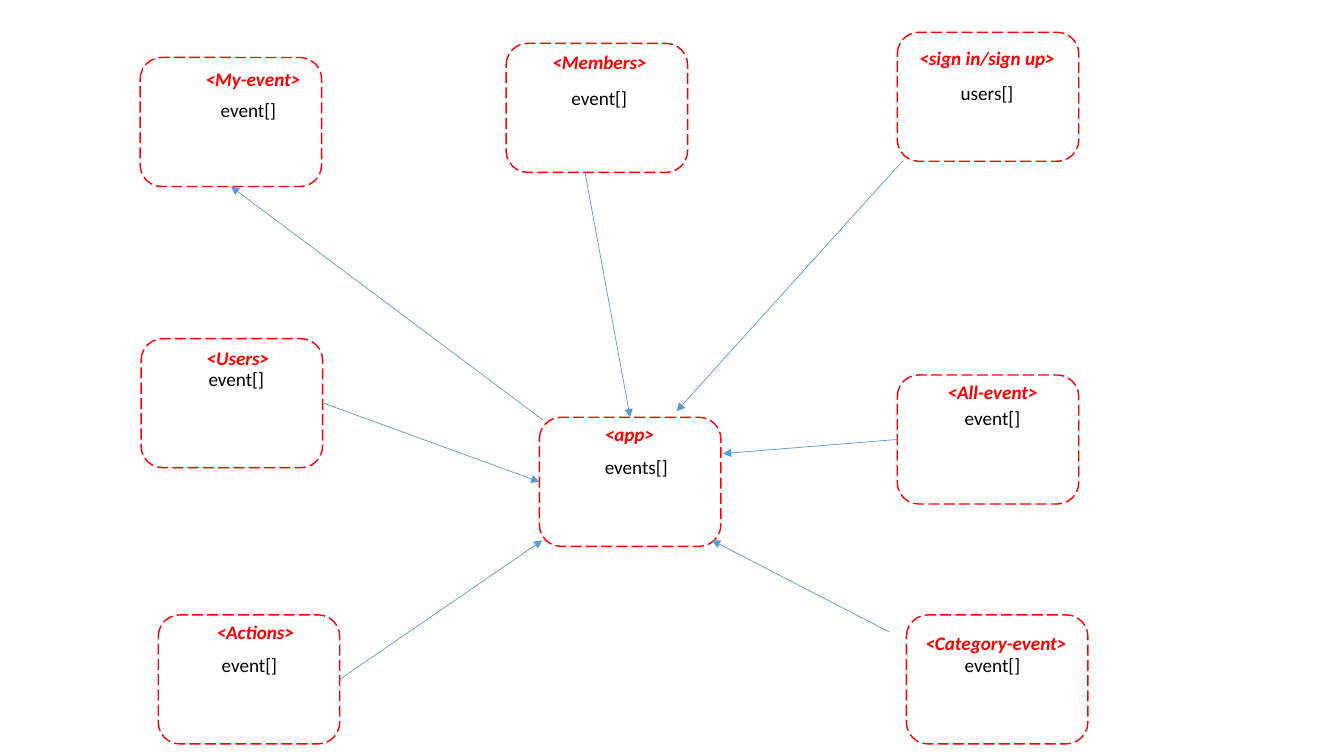
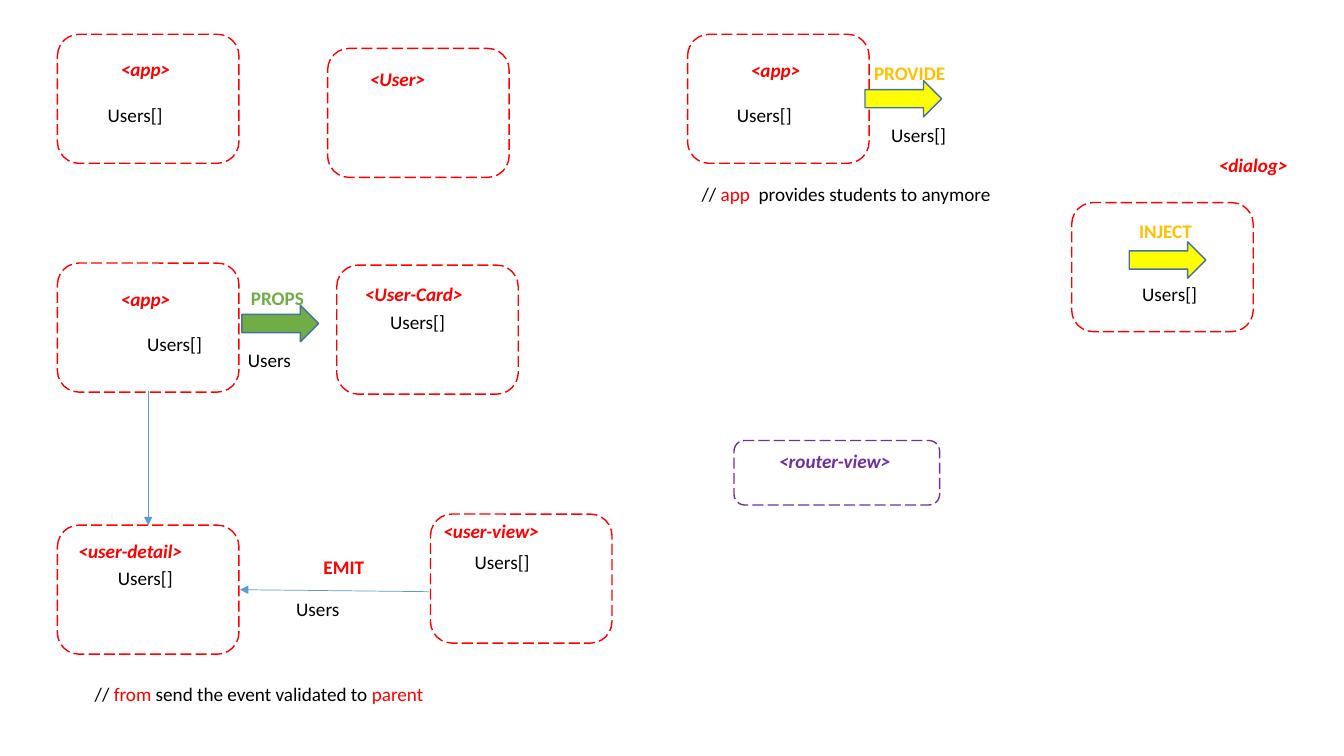
from lxml import etree
from pptx import Presentation
from pptx.dml.color import RGBColor
from pptx.enum.dml import MSO_LINE
from pptx.enum.shapes import MSO_CONNECTOR, MSO_SHAPE
from pptx.enum.text import MSO_AUTO_SIZE
from pptx.oxml.ns import qn
from pptx.util import Inches, Pt

ROUND_BOX, BLOCK_ARROW = MSO_SHAPE.ROUNDED_RECTANGLE, MSO_SHAPE.RIGHT_ARROW
STRAIGHT, LONG_DASH = MSO_CONNECTOR.STRAIGHT, MSO_LINE.LONG_DASH
FIT_SHAPE = MSO_AUTO_SIZE.SHAPE_TO_FIT_TEXT

COLORS = {
    "red": "FF0000", "black": "000000", "purple": "7030A0", "green": "70AD47",
    "amber": "FFC000", "yellow": "FFFF00", "blue": "5B9BD5", "edge": "43739E",
}
# Text styles: colour plus font attributes
STYLES = {
    "tag": ("red", {"bold": True, "italic": True}),
    "route": ("purple", {"bold": True, "italic": True}),
    "props": ("green", {"bold": True}),
    "provide": ("amber", {"bold": True}),
    "emit": ("red", {"bold": True}),
    "data": ("black", {}),
    "accent": ("red", {}),
}
BOX_W, BOX_H = 1.8, 1.28
ARROW_W, ARROW_H = 0.76, 0.36
LABEL_H = 0.33


def rgb(name):
    return RGBColor.from_string(COLORS[name])


def add_preset(slide, preset, left, top, width, height, line, fill=None):
    shape = slide.shapes.add_shape(
        preset, Inches(left), Inches(top), Inches(width), Inches(height))
    shape.shadow.inherit = False
    if fill:
        shape.fill.solid()
        shape.fill.fore_color.rgb = rgb(fill)
    else:
        shape.fill.background()
    shape.line.color.rgb = rgb(line)
    shape.line.width = Pt(1)
    return shape


# Event app: every component talks to the central app
event_app = {
    "boxes": [
        (1.39, 0.57), (5.02, 0.43), (8.9, 0.32), (1.4, 3.36),
        (5.35, 4.14), (8.9, 3.72), (1.57, 6.1), (8.99, 6.1),
    ],
    "block_arrows": [],
    "labels": [
        (1.94, 0.62, 1.16, "tag", "<My-event>"),
        (2.09, 0.93, 0.76, "data", "event[]"),
        (5.38, 0.45, 1.15, "tag", "<Members>"),
        (5.57, 0.81, 0.76, "data", "event[]"),
        (9.02, 0.41, 1.57, "tag", "<sign in/sign up>"),
        (9.43, 0.76, 0.73, "data", "users[]"),
        (1.95, 3.39, 0.83, "tag", "<Users>"),
        (1.97, 3.6, 0.76, "data", "event[]"),
        (5.9, 4.14, 0.7, "tag", "<app>"),
        (5.9, 4.47, 0.84, "data", "events[]"),
        (9.3, 3.72, 1.11, "tag", "<All-event>"),
        (9.47, 3.98, 0.76, "data", "event[]"),
        (2.05, 6.11, 0.98, "tag", "<Actions>"),
        (2.1, 6.43, 0.76, "data", "event[]"),
        (9.08, 6.21, 1.63, "tag", "<Category-event>"),
        (9.47, 6.43, 0.76, "data", "event[]"),
    ],
    "notes": [],
    "links": [
        (5.39, 4.17, 2.29, 1.85), (5.8, 1.7, 6.25, 4.14),
        (8.95, 1.6, 6.71, 4.08), (3.21, 4, 5.35, 4.78),
        (8.9, 4.36, 7.17, 4.5), (3.37, 6.74, 5.38, 5.36),
        (8.82, 6.27, 7.06, 5.36),
    ],
}

# Data flow: props and emit on the left, provide and inject on the right
data_flow = {
    "boxes": [
        (0.57, 0.34), (3.25, 0.48), (0.57, 2.61), (3.34, 2.63),
        (0.57, 5.21), (4.27, 5.1), (6.82, 0.34), (10.63, 2.01),
        (7.28, 4.37, 2.04, 0.64, "purple"),
    ],
    "block_arrows": [
        (2.4, 3.03, "green"), (8.58, 0.8, "yellow"), (11.2, 2.4, "yellow"),
    ],
    "labels": [
        (1.1, 0.52, 0.7, "tag", "<app>"),
        (0.97, 0.98, 0.75, "data", "Users[]"),
        (3.57, 0.62, 0.76, "tag", "<User>"),
        (1.1, 2.8, 0.7, "tag", "<app>"),
        (1.36, 3.25, 0.75, "data", "Users[]"),
        (2.39, 2.79, 0.73, "props", "PROPS"),
        (2.36, 3.41, 0.64, "data", "Users"),
        (3.52, 2.75, 1.19, "tag", "<User-Card>"),
        (3.77, 3.03, 0.75, "data", "Users[]"),
        (0.68, 5.3, 1.25, "tag", "<user-detail>"),
        (1.07, 5.57, 0.75, "data", "Users[]"),
        (3.11, 5.46, 0.61, "emit", "EMIT"),
        (2.84, 5.88, 0.64, "data", "Users"),
        (4.3, 5.1, 1.17, "tag", "<user-view>"),
        (4.61, 5.41, 0.75, "data", "Users[]"),
        (7.35, 0.53, 0.7, "tag", "<app>"),
        (7.21, 0.98, 0.75, "data", "Users[]"),
        (8.57, 0.56, 0.92, "provide", "PROVIDE"),
        (8.74, 1.17, 0.75, "data", "Users[]"),
        (11.99, 1.47, 0.9, "tag", "<dialog>"),
        (11.2, 2.13, 0.73, "provide", "INJECT"),
        (11.23, 2.75, 0.75, "data", "Users[]"),
        (7.63, 4.41, 1.33, "route", "<router-view>"),
    ],
    "notes": [
        (0.84, 6.72, 3.52, [
            ("data", "// "), ("accent", "from"),
            ("data", " send the event validated to "), ("accent", "parent")]),
        (6.86, 1.76, 3.13, [
            ("data", "// "), ("accent", "app"),
            ("data", "  provides students to anymore")]),
    ],
    "links": [(1.47, 3.88, 1.47, 5.21), (4.25, 5.87, 2.38, 5.85)],
}

prs = Presentation()
prs.slide_width, prs.slide_height = Inches(13.33), Inches(7.5)

for diagram in (event_app, data_flow):
    slide = prs.slides.add_slide(prs.slide_layouts[6])

    # Dashed component boxes
    for left, top, *custom in diagram["boxes"]:
        width, height, line = custom or (BOX_W, BOX_H, "red")
        component = add_preset(slide, ROUND_BOX, left, top, width, height, line)
        component.line.dash_style = LONG_DASH

    # Block arrows
    for left, top, fill in diagram["block_arrows"]:
        add_preset(slide, BLOCK_ARROW, left, top, ARROW_W, ARROW_H, "edge", fill)

    # Labels and mixed-colour notes
    texts = [(left, top, width, [(style, text)])
             for left, top, width, style, text in diagram["labels"]]
    for left, top, width, runs in texts + diagram["notes"]:
        label = slide.shapes.add_textbox(
            Inches(left), Inches(top), Inches(width), Inches(LABEL_H))
        frame = label.text_frame
        frame.word_wrap = False
        frame.auto_size = FIT_SHAPE
        for style, text in runs:
            run = frame.paragraphs[0].add_run()
            run.text = text
            color, extras = STYLES[style]
            run.font.color.rgb = rgb(color)
            for attribute, value in {"name": "Calibri", "size": Pt(13.7), **extras}.items():
                setattr(run.font, attribute, value)

    # Thin links with an arrowhead at the end
    for ends in diagram["links"]:
        link = slide.shapes.add_connector(STRAIGHT, *[Inches(end) for end in ends])
        link.line.color.rgb = rgb("blue")
        link.line.width = Pt(0.5)
        etree.SubElement(link.line._get_or_add_ln(), qn("a:tailEnd"), type="triangle")
        etree.SubElement(link._element.spPr, qn("a:effectLst"))

prs.save("out.pptx")
